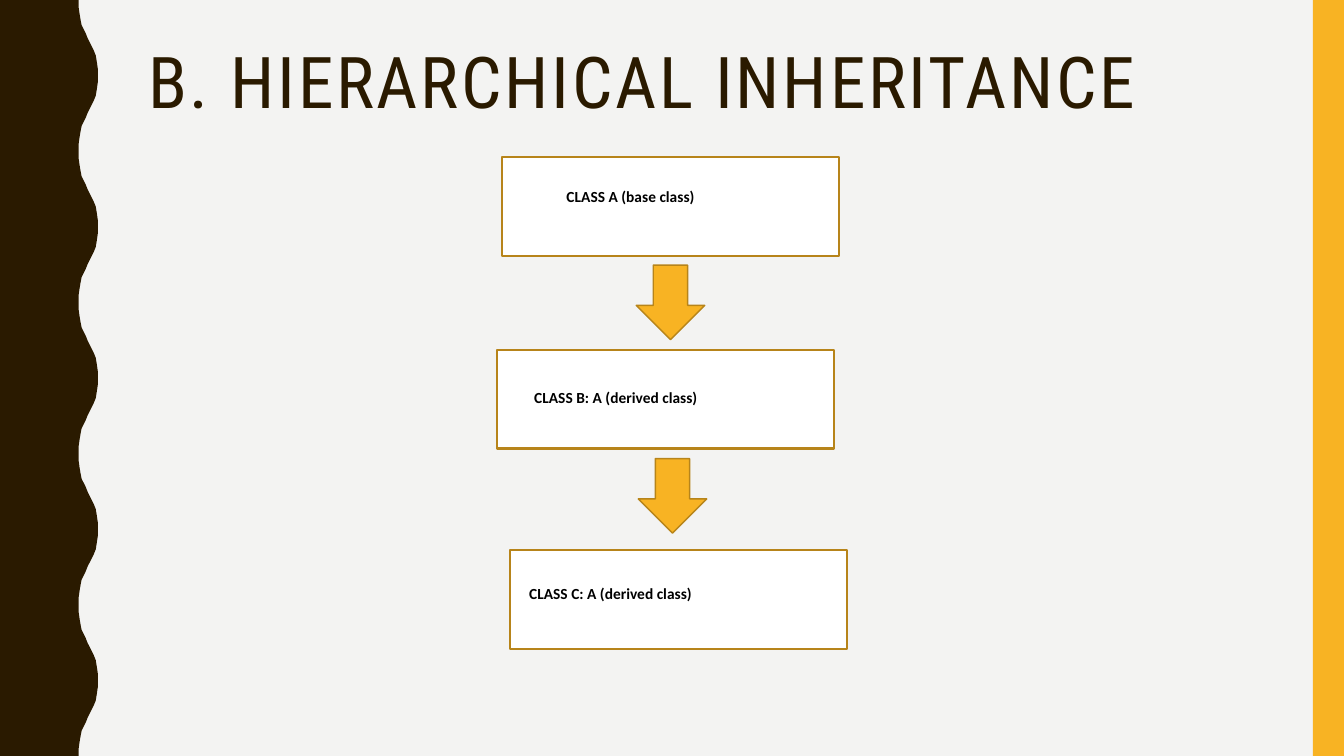
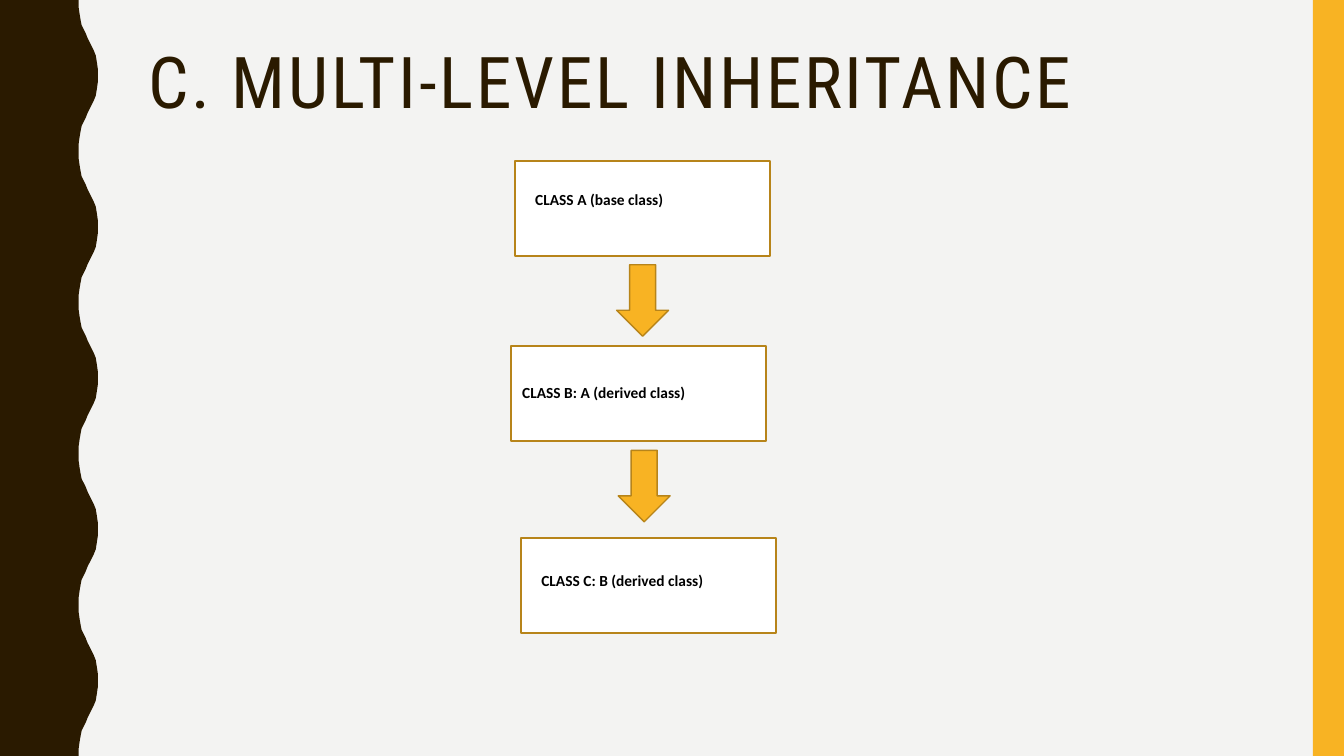
import pptx
import pptx.util
import pptx.dml.color
import pptx.enum.shapes
import pptx.enum.text

Inches = pptx.util.Inches
Pt = pptx.util.Pt
SHAPE = pptx.enum.shapes.MSO_SHAPE

WIDTH, HEIGHT = 13.33, 7.5
COLORS = {
    "background": "F3F3F2",
    "dark": "2A1A00",
    "accent": "F8B323",
    "outline": "B7841A",
    "white": "FFFFFF",
    "black": "000000",
}

TITLE_FONT = {"name": "Roboto Condensed", "size": Pt(51), "bold": False}
TITLE_PARAGRAPH = {"line_spacing": 0.9}
LABEL_FONT = {"name": "Calibri", "size": Pt(11), "bold": True}
LABEL_PARAGRAPH = {"line_spacing": 1.07, "space_after": Pt(8)}
FRAME = {
    "word_wrap": True,
    "vertical_anchor": pptx.enum.text.MSO_ANCHOR.TOP,
    "margin_left": Inches(0.1),
    "margin_right": Inches(0.1),
    "margin_top": Inches(0.05),
    "margin_bottom": Inches(0.05),
}

WAVE_PERIOD = 1.5
HALF_WAVE = [
    (0.78, 0), (0.78, 0.07), (0.79, 0.14), (0.8, 0.2), (0.81, 0.25),
    (0.83, 0.29), (0.85, 0.33), (0.87, 0.38), (0.89, 0.42), (0.91, 0.46),
    (0.93, 0.5), (0.95, 0.55), (0.96, 0.61), (0.97, 0.68), (0.97, 0.75),
]

DIAGRAM_SIZE = (3.47, 4.88)
CLASS_BOXES = [(0.05, 0, 3.34, 0.98), (0, 1.91, 3.34, 0.98), (0.13, 3.9, 3.34, 0.98)]
ARROWS = [(1.38, 1.07, 0.68, 0.74), (1.4, 2.99, 0.68, 0.74)]
LABEL_TOPS = [0.23, 2.23, 4.17]
LABEL_HEIGHT = 0.48

SLIDES = [
    {
        "title": "B. HIERARCHICAL INHERITANCE",
        "title_box": (1.37, 0.42, 11.13, 1.63),
        "diagram_box": (4.93, 1.56, 3.47, 4.88),
        "labels": [
            ("CLASS A (base class)", 0.59, 2.45),
            ("CLASS B: A (derived class)", 0.27, 2.95),
            ("CLASS C: A (derived class)", 0.22, 3.05),
        ],
    },
    {
        "title": "C. MULTI-LEVEL INHERITANCE",
        "title_box": (1.37, 0.42, 11.13, 0.96),
        "diagram_box": (5.07, 1.6, 2.63, 4.68),
        "labels": [
            ("CLASS A (base class)", 0.14, 2.26),
            ("CLASS B: A (derived class)", 0.01, 2.38),
            ("CLASS C: B (derived class)", 0.2, 2.31),
        ],
    },
]


def color(name):
    return pptx.dml.color.RGBColor.from_string(COLORS[name])


def apply_format(target, values):
    for name, value in values.items():
        setattr(target, name, value)


def style_shape(shape, fill, line=None, line_width=0):
    shape.shadow.inherit = False
    shape.fill.solid()
    shape.fill.fore_color.rgb = color(fill)
    if line:
        shape.line.color.rgb = color(line)
        shape.line.width = Pt(line_width)
    else:
        shape.line.fill.background()


def add_preset(shapes, preset, box, *style):
    shape = shapes.add_shape(preset, *map(Inches, box))
    style_shape(shape, *style)
    return shape


def write_text(shape, text, font, paragraph_format, text_color):
    apply_format(shape.text_frame, FRAME)
    paragraph = shape.text_frame.paragraphs[0]
    paragraph.alignment = pptx.enum.text.PP_ALIGN.LEFT
    apply_format(paragraph, paragraph_format)
    run = paragraph.add_run()
    run.text = text
    apply_format(run.font, font)
    run.font.color.rgb = color(text_color)
    return run


def add_side_bands(slide):
    wave = HALF_WAVE + [(x, WAVE_PERIOD - y) for x, y in reversed(HALF_WAVE[:-1])]
    edge = [
        (x, y + period * WAVE_PERIOD)
        for period in range(round(HEIGHT / WAVE_PERIOD))
        for x, y in wave
    ]
    builder = slide.shapes.build_freeform(0, 0)
    builder.add_line_segments(
        [(Inches(x), Inches(y)) for x, y in edge + [(0, HEIGHT)]], close=True
    )
    style_shape(builder.convert_to_shape(), "dark")
    add_preset(slide.shapes, SHAPE.RECTANGLE, (13.02, 0, 0.31, HEIGHT), "accent")


def add_title(slide, text, box):
    title = slide.shapes.add_textbox(*map(Inches, box))
    run = write_text(title, text, TITLE_FONT, TITLE_PARAGRAPH, "dark")
    run.font._element.set("spc", "200")


def add_class_diagram(slide, box, labels):
    left, top, width, height = box
    scale_x, scale_y = width / DIAGRAM_SIZE[0], height / DIAGRAM_SIZE[1]

    def place(part):
        x, y, part_width, part_height = part
        return (left + x * scale_x, top + y * scale_y,
                part_width * scale_x, part_height * scale_y)

    shapes = slide.shapes.add_group_shape().shapes
    for class_box, label_top, (text, offset, label_width) in zip(
        CLASS_BOXES, LABEL_TOPS, labels
    ):
        add_preset(shapes, SHAPE.RECTANGLE, place(class_box), "white", "outline", 1.5)
        label_box = (left + offset, top + label_top * scale_y,
                     label_width, LABEL_HEIGHT * scale_y)
        label = add_preset(shapes, SHAPE.RECTANGLE, label_box, "white", "white", 0.5)
        write_text(label, text, LABEL_FONT, LABEL_PARAGRAPH, "black")
    for arrow in ARROWS:
        add_preset(shapes, SHAPE.DOWN_ARROW, place(arrow), "accent", "outline", 1)


def add_inheritance_slide(presentation, content):
    slide = presentation.slides.add_slide(presentation.slide_layouts[6])
    add_side_bands(slide)
    add_title(slide, content["title"], content["title_box"])
    add_class_diagram(slide, content["diagram_box"], content["labels"])


def main():
    presentation = pptx.Presentation()
    presentation.slide_width = Inches(WIDTH)
    presentation.slide_height = Inches(HEIGHT)
    background = presentation.slide_master.background.fill
    background.solid()
    background.fore_color.rgb = color("background")
    for content in SLIDES:
        add_inheritance_slide(presentation, content)
    presentation.save("out.pptx")


if __name__ == "__main__":
    main()
